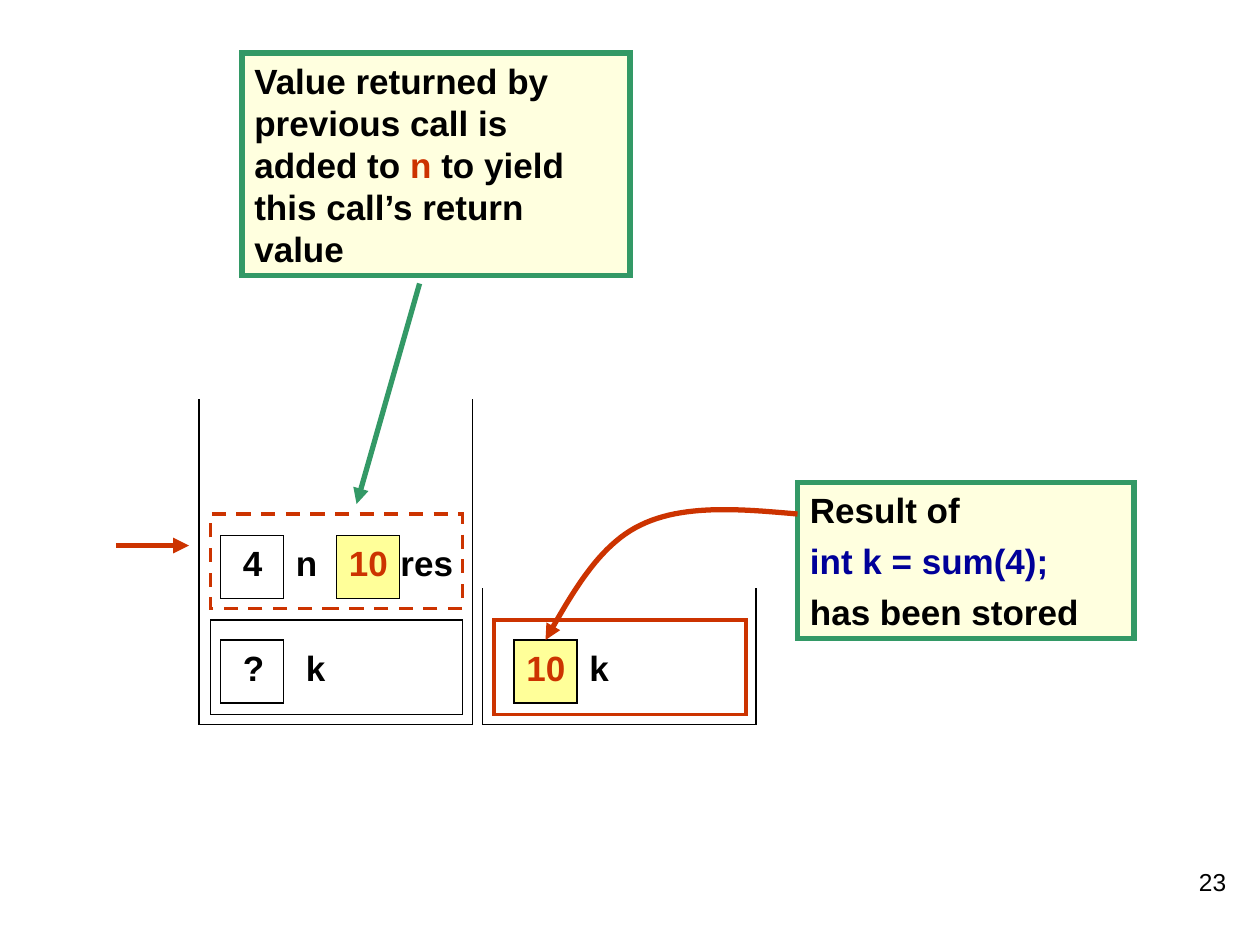
import pptx
import pptx.util
import pptx.dml.color
import pptx.enum.dml
import pptx.enum.shapes
import pptx.enum.text
import pptx.oxml.ns
from dataclasses import dataclass
from lxml import etree

Inches = pptx.util.Inches
BLACK, RED, GREEN, NAVY = "000000", "CC3300", "339966", "000099"
PALE, GOLD = "FFFFDF", "FFFF99"


@dataclass
class Box:
    left: float
    top: float
    wide: float
    high: float
    fill: str = ""
    line: str = BLACK
    width: float = 0.75
    dash: bool = False


@dataclass
class Line:
    start: tuple
    end: tuple
    color: str = BLACK
    width: float = 0.75
    arrow: bool = False


@dataclass
class Cell:
    left: float
    top: float
    value: str
    name: str
    shift: float
    span: float
    gap: float = 0.08
    fill: str = ""
    color: str = BLACK


def paint(font, color: str):
    font.color.rgb = pptx.dml.color.RGBColor.from_string(color)


def stroke(line, color: str, width: float, arrow: bool = False):
    line.fill.solid()
    paint(line, color)
    line.width = pptx.util.Pt(width)
    edge = line._get_or_add_ln()
    etree.SubElement(edge, pptx.oxml.ns.qn("a:miter")).set("lim", "800000")
    if arrow:
        etree.SubElement(edge, pptx.oxml.ns.qn("a:tailEnd")).set("type", "triangle")


def write(shape, rows, size=20, bold=True, before=12.5, align="LEFT"):
    frame = shape.text_frame
    frame.word_wrap = True
    frame.vertical_anchor = pptx.enum.text.MSO_ANCHOR.TOP
    for i, row in enumerate(rows):
        para = frame.paragraphs[0] if i == 0 else frame.add_paragraph()
        para.alignment = getattr(pptx.enum.text.PP_ALIGN, align)
        para.space_before = pptx.util.Pt(before)
        for text, color in row:
            run = para.add_run()
            run.text = text
            run.font.name = "Arial"
            run.font.size = pptx.util.Pt(size)
            run.font.bold = bold
            paint(run.font, color)


def draw(box: Box):
    shape = shapes.add_shape(
        pptx.enum.shapes.MSO_SHAPE.RECTANGLE,
        *map(Inches, (box.left, box.top, box.wide, box.high)))
    shape.shadow.inherit = False
    if box.fill:
        shape.fill.solid()
        shape.fill.fore_color.rgb = pptx.dml.color.RGBColor.from_string(box.fill)
    else:
        shape.fill.background()
    stroke(shape.line, box.line, box.width)
    if box.dash:
        shape.line.dash_style = pptx.enum.dml.MSO_LINE.DASH
    return shape


def link(line: Line):
    shape = shapes.add_connector(
        pptx.enum.shapes.MSO_CONNECTOR.STRAIGHT,
        *map(Inches, line.start + line.end))
    stroke(shape.line, line.color, line.width, line.arrow)
    etree.SubElement(shape._element.spPr, pptx.oxml.ns.qn("a:effectLst"))


def label(left: float, top: float, wide: float, high: float, text: str,
          color: str = BLACK, **style):
    box = shapes.add_textbox(*map(Inches, (left, top, wide, high)))
    write(box, [[(text, color)]], **style)


def slot(cell: Cell):
    draw(Box(cell.left, cell.top, 0.5, 0.5, cell.fill))
    label(cell.left + cell.gap, cell.top, 0.58, 0.44, cell.value, cell.color)
    label(cell.left + cell.shift, cell.top, cell.span, 0.44, cell.name)


def bend(ends: list, steps: int = 24):
    points = []
    for a, b, c, d in ends:
        for i in range(steps + 1):
            t = i / steps
            u = 1 - t
            points.append(tuple(
                Inches(u**3 * p + 3 * u * u * t * q + 3 * u * t * t * r + t**3 * s)
                for p, q, r, s in zip(a, b, c, d)))
    form = shapes.build_freeform(*points[0], scale=1.0)
    form.add_line_segments(points[1:], close=False)
    curve = form.convert_to_shape()
    curve.shadow.inherit = False
    curve.fill.background()
    stroke(curve.line, RED, 3, arrow=True)


deck = pptx.Presentation()
deck.slide_width, deck.slide_height = Inches(10), Inches(7.5)
shapes = deck.slides.add_slide(deck.slide_layouts[6]).shapes

for cell in (
    Cell(1.75, 5.08, "?", "k", 0.58, 0.33),
    Cell(2.67, 4.25, "10", "res", 0.41, 0.67, 0, GOLD, RED),
    Cell(1.75, 4.25, "4", "n", 0.5, 0.33),
    Cell(4.08, 5.08, "10", "k", 0.5, 0.42, 0, GOLD, RED),
):
    slot(cell)

for frame in (
    Box(1.67, 4.92, 2, 0.75),
    Box(1.67, 4.08, 2, 0.75, line=RED, width=2, dash=True),
    Box(3.92, 4.92, 2, 0.75, line=RED, width=2),
):
    draw(frame)

base = 5.75
for left, right, top in ((1.58, 3.75, 3.17), (3.83, 6, 4.67)):
    link(Line((left, base), (right, base)))
    for side in (left, right):
        link(Line((side, base), (side, top)))

note = draw(Box(1.92, 0.42, 3.08, 1.77, PALE, GREEN, 3))
write(note, [[("Value returned by previous call is added to ", BLACK), ("n", RED),
              (" to yield this call\u2019s return value", BLACK)]])
link(Line((3.33, 2.25), (2.83, 4), GREEN, 3, True))

note = draw(Box(6.33, 3.83, 2.67, 1.24, PALE, GREEN, 3))
write(note, [[("Result of", BLACK)], [("int k = sum(4);", NAVY)],
             [("has been stored", BLACK)]], before=5)

bend([((6.33, 4.08), (5.88, 4.04), (5.42, 4), (5.08, 4.17)),
      ((5.08, 4.17), (4.75, 4.33), (4.54, 4.71), (4.33, 5.08))])
link(Line((0.92, 4.33), (1.5, 4.33), RED, 3, True))
label(7.75, 6.83, 2.08, 0.5, "23", size=14, bold=False, before=0, align="RIGHT")

deck.save("out.pptx")
